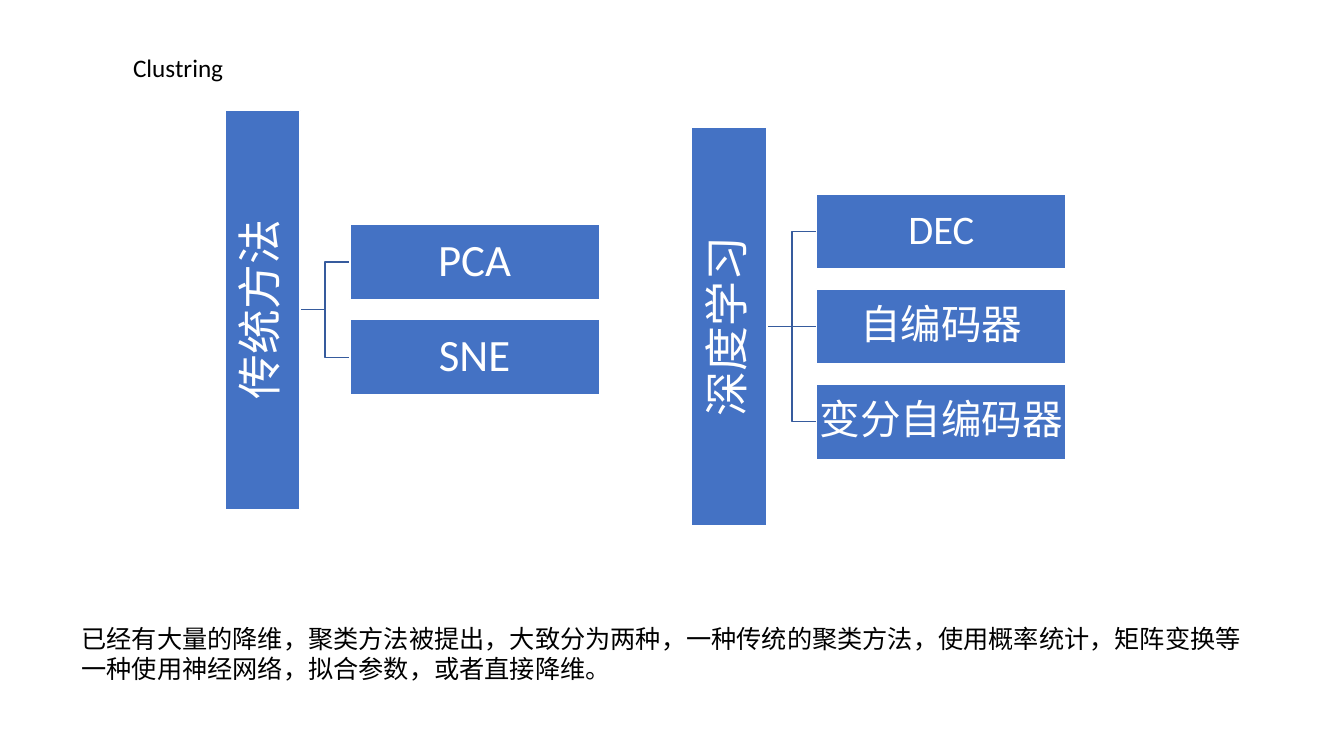
from dataclasses import dataclass

import lxml.etree
import pptx
import pptx.dml.color
import pptx.enum.shapes
import pptx.enum.text
import pptx.oxml.ns
import pptx.util

COLORS = {"box": "4472C4", "branch": "365B9D", "light": "FFFFFF", "text": "000000"}
FONT = "Calibri"
ALIGN = pptx.enum.text.PP_ALIGN
ANCHOR = pptx.enum.text.MSO_ANCHOR
AUTO_SIZE = pptx.enum.text.MSO_AUTO_SIZE
CONNECTOR = pptx.enum.shapes.MSO_CONNECTOR

prs = pptx.Presentation()
prs.slide_width = pptx.util.Inches(13.333)
prs.slide_height = pptx.util.Inches(7.5)


def across(percent: float) -> int:
    """Length as a percentage of the slide's width."""
    return round(prs.slide_width * percent / 100)


def down(percent: float) -> int:
    """Length as a percentage of the slide's height."""
    return round(prs.slide_height * percent / 100)


BOX_HEIGHT = down(9.95)
ROOT_LENGTH = down(52.8)
LEAF_PITCH = down(12.58)
LEAF_WIDTH = across(18.56)
LEAF_OFFSET = across(6.5)  # from the root's centre to the leaves' left edge


@dataclass
class Tree:
    root: str
    leaves: list[str]
    leaf_size: int
    center_x: float
    center_y: float


TREES = [
    Tree("传统方法", ["PCA", "SNE"], 32, 19.53, 40.97),
    Tree("深度学习", ["DEC", "自编码器", "变分自编码器"], 29, 54.27, 43.2),
]


def rgb(name: str) -> pptx.dml.color.RGBColor:
    return pptx.dml.color.RGBColor.from_string(COLORS[name])


def write(sp, text: str, *, size: int, color: str = "text", align=ALIGN.LEFT,
          anchor=ANCHOR.TOP, wrap: bool = False, auto_size=AUTO_SIZE.SHAPE_TO_FIT_TEXT,
          inset: float | None = None, spacing: float = 1.0) -> None:
    tf = sp.text_frame
    tf.text = text
    tf.word_wrap = wrap
    tf.auto_size = auto_size
    tf.vertical_anchor = anchor
    if inset is not None:
        tf.margin_left = tf.margin_right = pptx.util.Inches(inset)
        tf.margin_top = tf.margin_bottom = pptx.util.Inches(inset)
    for p in tf.paragraphs:
        p.alignment = align
        p.line_spacing = spacing
        for r in p.runs:
            r.font.name = FONT
            r.font.size = pptx.util.Pt(size)
            r.font.color.rgb = rgb(color)


def add_box(slide, text: str, left: int, top: int, width: int, size: int,
            rotation: int = 0) -> None:
    sp = slide.shapes.add_shape(pptx.enum.shapes.MSO_SHAPE.RECTANGLE,
                                left, top, width, BOX_HEIGHT)
    sp.rotation = rotation
    sp.shadow.inherit = False
    sp.fill.solid()
    sp.fill.fore_color.rgb = rgb("box")
    sp.line.color.rgb = rgb("light")
    sp.line.width = pptx.util.Pt(1)
    write(sp, text, size=size, color="light", align=ALIGN.CENTER, anchor=ANCHOR.MIDDLE,
          wrap=True, auto_size=AUTO_SIZE.NONE, inset=0.02, spacing=0.9)


def add_branch(slide, x1: int, y1: int, x2: int, y2: int) -> None:
    kind = CONNECTOR.STRAIGHT if y1 == y2 else CONNECTOR.ELBOW
    line = slide.shapes.add_connector(kind, x1, y1, x2, y2)
    line.line.color.rgb = rgb("branch")
    line.line.width = pptx.util.Pt(1)
    lxml.etree.SubElement(line._element.spPr, pptx.oxml.ns.qn("a:effectLst"))


def add_tree(slide, tree: Tree) -> None:
    x, y = across(tree.center_x), down(tree.center_y)
    leaf_left = x + LEAF_OFFSET
    middle = (len(tree.leaves) - 1) / 2
    leaf_ys = [y + round((i - middle) * LEAF_PITCH) for i in range(len(tree.leaves))]
    for leaf_y in leaf_ys:
        add_branch(slide, x + BOX_HEIGHT // 2, y, leaf_left, leaf_y)
    add_box(slide, tree.root, x - ROOT_LENGTH // 2, y - BOX_HEIGHT // 2,
            ROOT_LENGTH, 32, rotation=270)
    for leaf, leaf_y in zip(tree.leaves, leaf_ys):
        add_box(slide, leaf, leaf_left, leaf_y - BOX_HEIGHT // 2, LEAF_WIDTH, tree.leaf_size)


def place(sp, left: float, top: float, width: float, height: float) -> None:
    sp.left, sp.top = across(left), down(top)
    sp.width, sp.height = across(width), down(height)


def main() -> None:
    slide = prs.slides.add_slide(prs.slide_layouts[5])
    title = slide.shapes.title
    place(title, 9.15, 6.27, 8.33, 5.33)
    write(title, "Clustring", size=18)

    for tree in TREES:
        add_tree(slide, tree)

    summary = slide.shapes.add_textbox(0, 0, 0, 0)
    place(summary, 5.33, 81.73, 88.58, 9.47)
    write(summary, "已经有大量的降维，聚类方法被提出，大致分为两种，一种传统的聚类方法，"
                   "使用概率统计，矩阵变换等\n"
                   "一种使用神经网络，拟合参数，或者直接降维。", size=18)
    prs.save("out.pptx")


if __name__ == "__main__":
    main()
